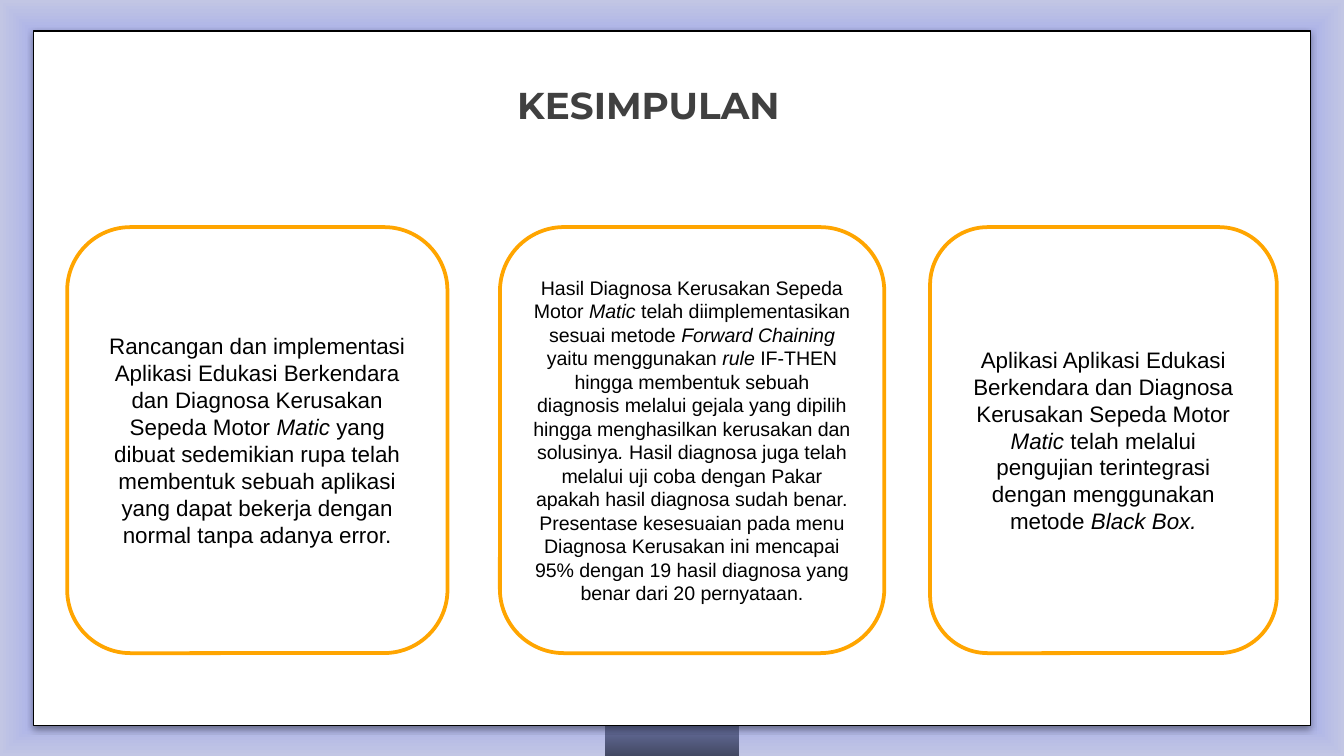
from lxml.etree import SubElement
from pptx import Presentation
from pptx.dml.color import RGBColor
from pptx.enum.shapes import MSO_SHAPE
from pptx.enum.text import MSO_ANCHOR, PP_ALIGN
from pptx.oxml import parse_xml
from pptx.oxml.ns import nsdecls, qn
from pptx.util import Inches, Pt


def rgb(code):
    return RGBColor.from_string(code)


def box(kind, x, y, w, h, line=None, width=0):
    """Add a white shape, placed in inches, with an optional outline."""
    shape = slide.shapes.add_shape(kind, *map(Inches, (x, y, w, h)))
    shape.shadow.inherit = False
    shape.fill.solid()
    shape.fill.fore_color.rgb = rgb("FFFFFF")
    if line:
        shape.line.color.rgb = rgb(line)
        shape.line.width = Pt(width)
    else:
        shape.line.fill.background()
    return shape


WIDE = 10
HIGH = WIDE * 9 / 16
deck = Presentation()
deck.slide_width, deck.slide_height = Inches(WIDE), Inches(HIGH)
slide = deck.slides.add_slide(deck.slide_layouts[6])
slide.background.fill.solid()
slide.background.fill.fore_color.rgb = rgb("A5B0FE")

# Frame round the slide, fading from lilac to grey at the outer edge
rim = box(MSO_SHAPE.FRAME, 0, 0, WIDE, HIGH)
rim.adjustments[0] = 0.044
rim.fill.gradient()
for stop, color, place in zip(rim.fill.gradient_stops, ("A9B0E8", "C2C6E4"), (0.9, 1)):
    stop.color.rgb = rgb(color)
    stop.position = place
lin = rim._element.spPr.find(".//" + qn("a:lin"))
lin.getparent().replace(lin, parse_xml(
    f'<a:path {nsdecls("a")} path="rect">'
    '<a:fillToRect l="50000" t="50000" r="50000" b="50000"/></a:path>'))

# Tab at the bottom centre
tab = box(MSO_SHAPE.RECTANGLE, WIDE / 2 - 0.5, HIGH - 0.37, 1, 0.37)
tab.fill.gradient()
tab.fill.gradient_angle = 270
for stop, color in zip(tab.fill.gradient_stops, ("7C86C4", "434963")):
    stop.color.rgb = rgb(color)

# White panel with a soft shadow
panel = box(MSO_SHAPE.RECTANGLE, 0.25, 0.23, WIDE - 0.5, 5.17, "000000", 0.75)
shade = SubElement(panel._element.spPr.find(qn("a:effectLst")), qn("a:outerShdw"),
                   blurRad=str(Pt(3.1)), dist=str(Pt(1.6)), dir="5400000")
black = SubElement(shade, qn("a:srgbClr"), val="000000")
SubElement(black, qn("a:alpha"), val="38000")

# Title
title = slide.shapes.add_textbox(*map(Inches, (3.75, 0.56, 2.29, 0.44)))
title.text_frame.word_wrap = False
para = title.text_frame.paragraphs[0]
para.text = "KESIMPULAN"
para.font.name, para.font.size, para.font.bold = "Montserrat", Pt(20), True
para.font.color.rgb = rgb("404040")

# Cards: left, width, text size, and runs that alternate plain and italic
cards = [
    (0.5, 2.83, 12, [
        "Rancangan dan implementasi Aplikasi Edukasi Berkendara dan Diagnosa "
        "Kerusakan Sepeda Motor ", "Matic",
        " yang dibuat sedemikian rupa telah membentuk sebuah aplikasi yang dapat "
        "bekerja dengan normal tanpa adanya error."]),
    (3.72, 2.86, 10.5, [
        "Hasil Diagnosa Kerusakan Sepeda Motor ", "Matic ",
        "telah diimplementasikan sesuai metode ", "Forward Chaining ",
        "yaitu menggunakan ", "rule",
        " IF-THEN hingga membentuk sebuah diagnosis melalui gejala yang dipilih "
        "hingga menghasilkan kerusakan dan solusinya", ". ",
        "Hasil diagnosa juga telah melalui uji coba dengan Pakar apakah hasil "
        "diagnosa sudah benar. Presentase kesesuaian pada menu Diagnosa Kerusakan "
        "ini mencapai 95% dengan 19 hasil diagnosa yang benar dari 20 pernyataan."]),
    (6.92, 2.58, 12, [
        "Aplikasi Aplikasi Edukasi Berkendara dan Diagnosa Kerusakan Sepeda Motor ",
        "Matic ", "telah melalui pengujian terintegrasi dengan menggunakan metode ",
        "Black Box."]),
]
for left, width, size, runs in cards:
    card = box(MSO_SHAPE.ROUNDED_RECTANGLE, left, 1.69, width, 3.17, "FFA500", 2)
    frame = card.text_frame
    frame.word_wrap = True
    frame.vertical_anchor = MSO_ANCHOR.MIDDLE
    para = frame.paragraphs[0]
    para.alignment = PP_ALIGN.CENTER
    para.font.name, para.font.size = "Arial", Pt(size)
    para.font.color.rgb = rgb("000000")
    for i, text in enumerate(runs):
        run = para.add_run()
        run.text = text
        run.font.italic = i % 2 == 1

deck.save("out.pptx")
